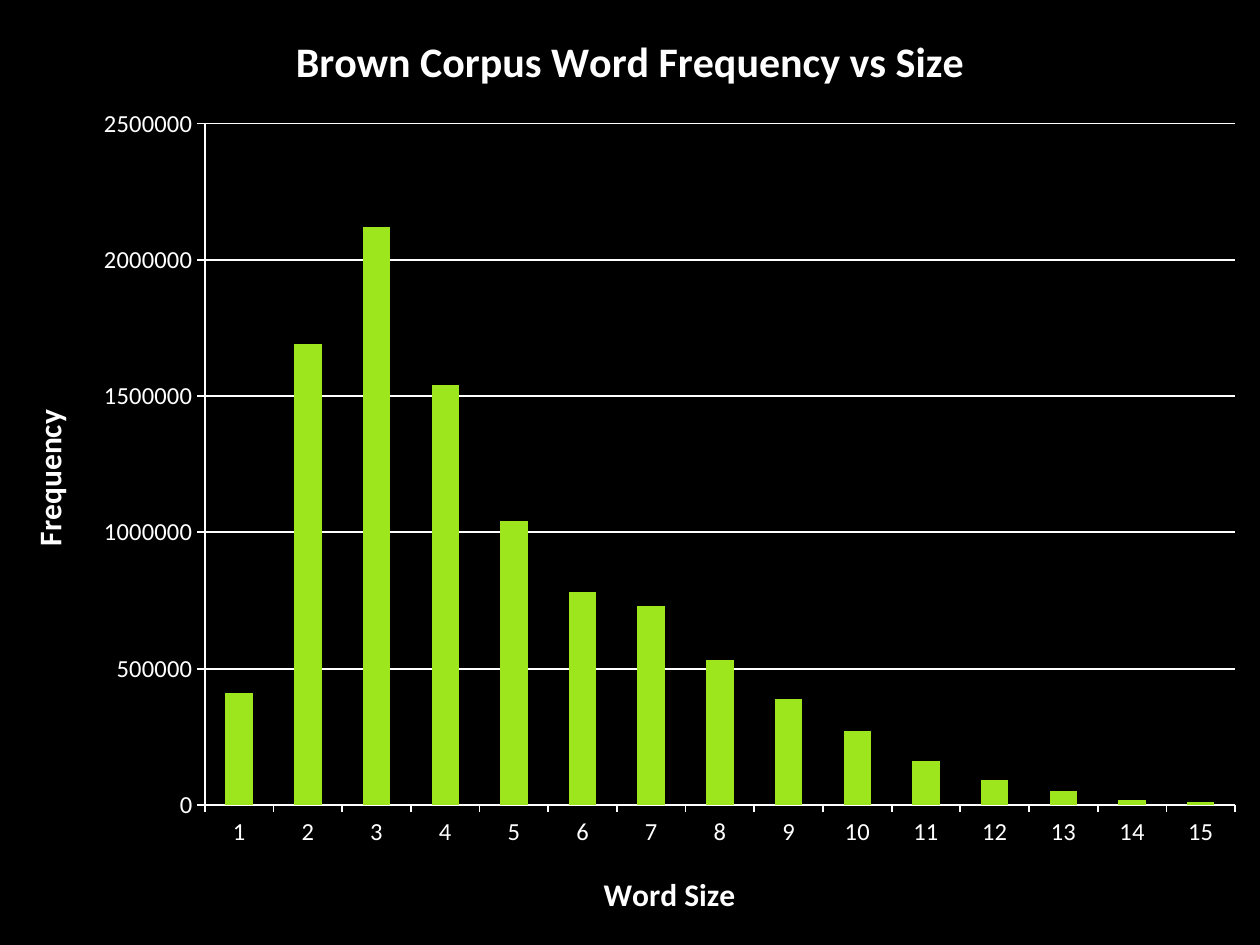
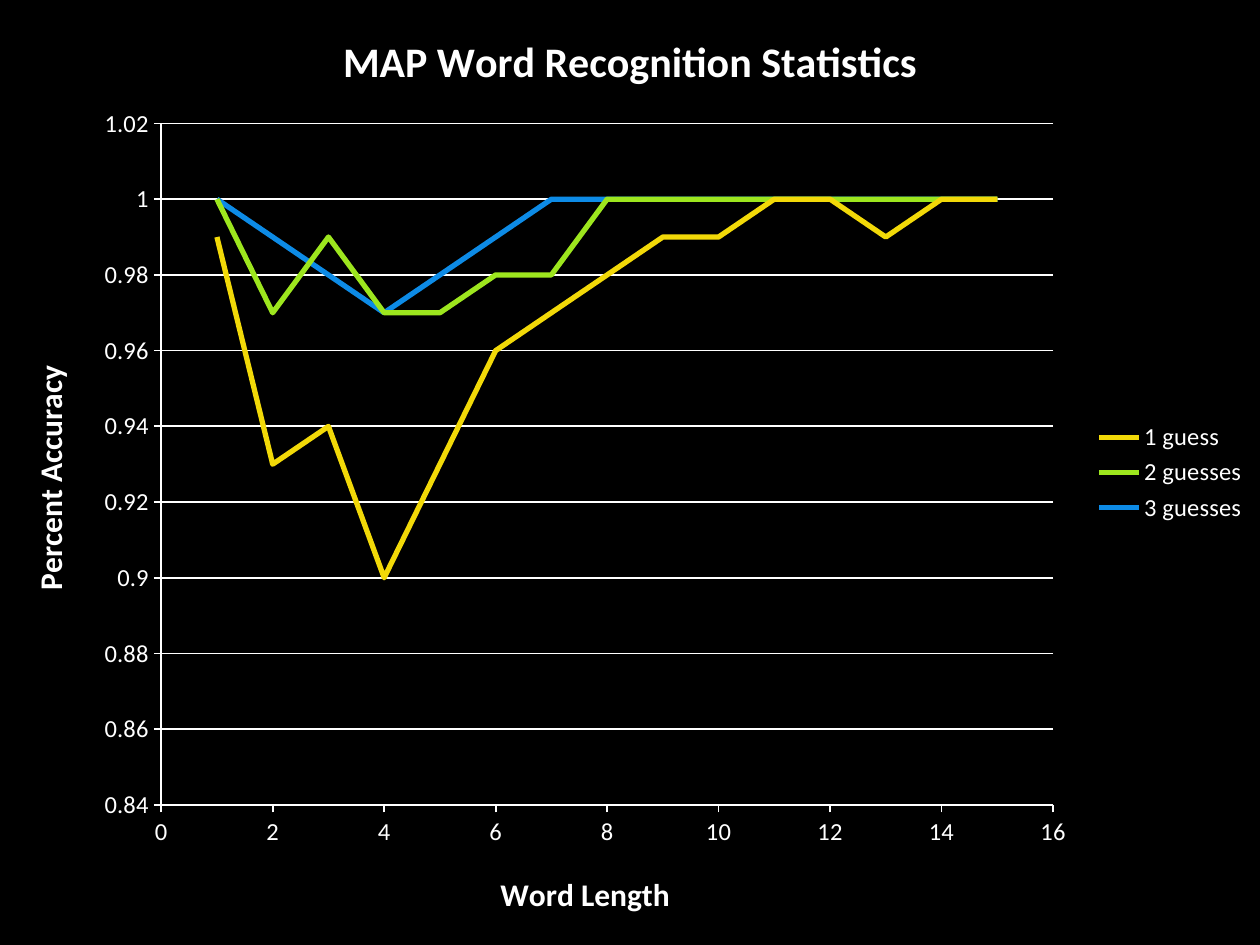
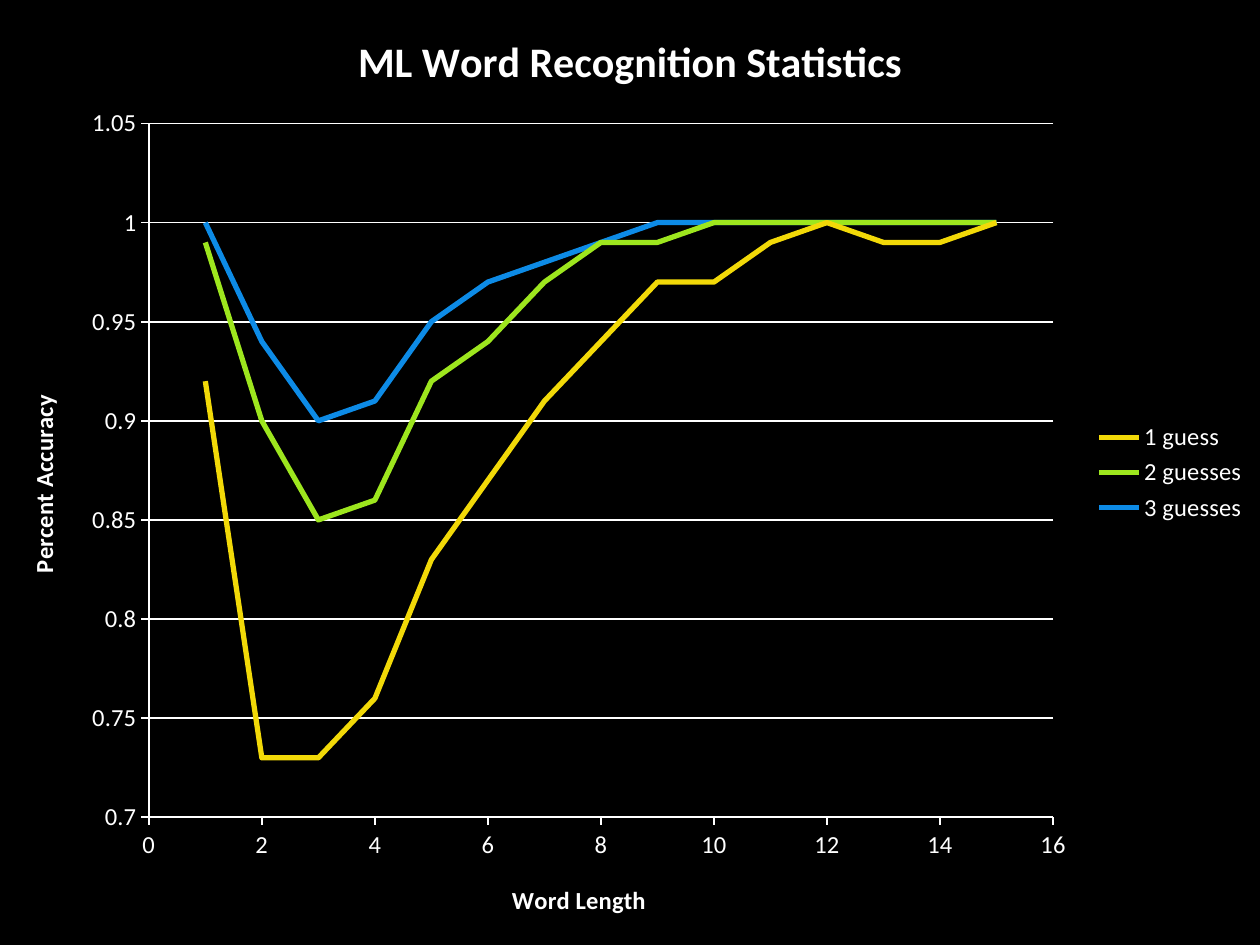
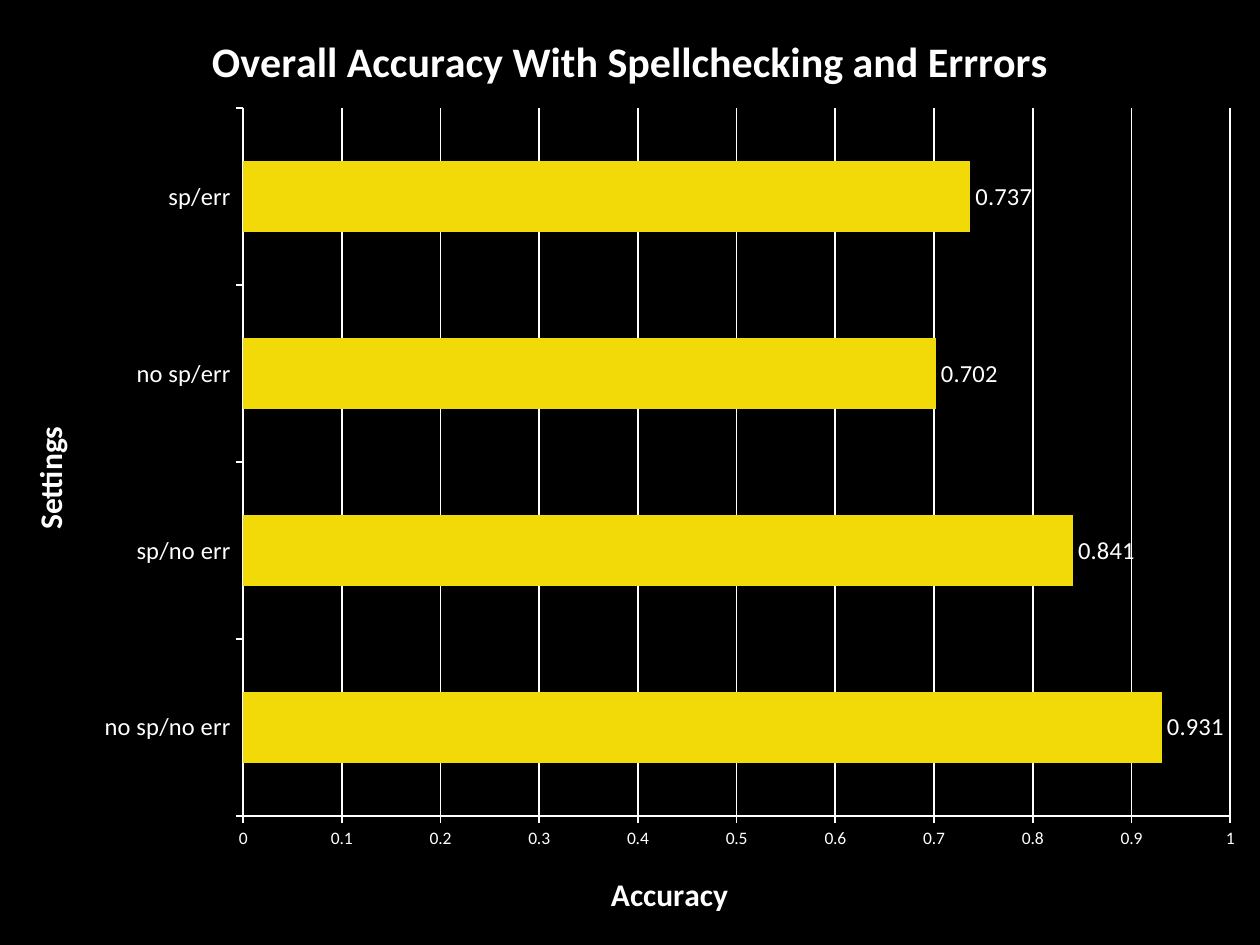
"""Builds four chart slides on word frequency and word recognition accuracy."""
from lxml import etree
from pptx import Presentation
from pptx.chart.data import CategoryChartData, XyChartData
from pptx.dml.color import RGBColor
from pptx.enum.chart import XL_CHART_TYPE as Kind
from pptx.enum.chart import XL_LABEL_POSITION as LabelSpot
from pptx.enum.chart import XL_LEGEND_POSITION as LegendSpot
from pptx.enum.chart import XL_TICK_MARK as Tick
from pptx.oxml.ns import qn
from pptx.util import Cm, Pt

BLACK = RGBColor(0x00, 0x00, 0x00)
WHITE = RGBColor(0xFF, 0xFF, 0xFF)
YELLOW = RGBColor(0xF2, 0xD9, 0x08)
GREEN = RGBColor(0x9D, 0xE6, 0x1E)
BLUE = RGBColor(0x0D, 0x8B, 0xE6)
FONT = "Calibri"
WIDTH, HEIGHT = Cm(25.4), Cm(19.05)
RULE = Pt(1)

LENGTHS = range(1, 16)
GUESS_COLORS = {"1 guess": YELLOW, "2 guesses": GREEN, "3 guesses": BLUE}
WORD_LENGTH_SCALE = {"minimum_scale": 0, "maximum_scale": 16, "major_unit": 2}


def set_font(font, size, bold=False):
    """Apply the shared white typeface at the given size."""
    for name, value in {"name": FONT, "size": Pt(size), "bold": bold}.items():
        setattr(font, name, value)
    font.color.rgb = WHITE


def add_heading(owner, text, size):
    """Give a chart or an axis a bold title."""
    owner.has_title = True
    frame = (owner.chart_title if hasattr(owner, "chart_title") else owner.axis_title).text_frame
    frame.text = text
    paragraph = frame.paragraphs[0]
    for font in (paragraph.font, paragraph.runs[0].font):
        set_font(font, size, bold=True)


frequency = CategoryChartData()
frequency.categories = [str(length) for length in LENGTHS]
frequency.add_series("Series 1", [
    410000, 1690000, 2120000, 1540000, 1040000, 780000, 730000, 530000,
    390000, 270000, 160000, 90000, 50000, 20000, 10000])

overall = CategoryChartData()
overall.categories = ["no sp/no err", "sp/no err", "no sp/err", "sp/err"]
overall.add_series("Series 1", [0.931, 0.841, 0.702, 0.737])

map_accuracy = [
    [0.99, 0.93, 0.94, 0.9, 0.93, 0.96, 0.97, 0.98, 0.99, 0.99, 1, 1, 0.99, 1, 1],
    [1, 0.97, 0.99, 0.97, 0.97, 0.98, 0.98, 1, 1, 1, 1, 1, 1, 1, 1],
    [1, 0.99, 0.98, 0.97, 0.98, 0.99, 1, 1, 1, 1, 1, 1, 1, 1, 1],
]
ml_accuracy = [
    [0.92, 0.73, 0.73, 0.76, 0.83, 0.87, 0.91, 0.94, 0.97, 0.97, 0.99, 1, 0.99, 0.99, 1],
    [0.99, 0.9, 0.85, 0.86, 0.92, 0.94, 0.97, 0.99, 0.99, 1, 1, 1, 1, 1, 1],
    [1, 0.94, 0.9, 0.91, 0.95, 0.97, 0.98, 0.99, 1, 1, 1, 1, 1, 1, 1],
]
recognition = []
for accuracy in (map_accuracy, ml_accuracy):
    guesses = XyChartData()
    for guess, values in zip(GUESS_COLORS, accuracy):
        points = guesses.add_series(guess)
        for length, value in zip(LENGTHS, values):
            points.add_data_point(length, value)
    recognition.append(guesses)

# Each plot area is left, top, right, bottom in cm; each axis is title, title size, label size, scale.
slides = [
    (Kind.COLUMN_CLUSTERED, "Brown Corpus Word Frequency vs Size", frequency, [GREEN],
     (4.13, 2.49, 24.9, 16.23),
     ("Word Size", 18, 14, {}),
     ("Frequency", 18, 14, {"minimum_scale": 0, "maximum_scale": 2500000, "major_unit": 500000})),
    (Kind.XY_SCATTER_LINES_NO_MARKERS, "MAP Word Recognition Statistics",
     recognition[0], GUESS_COLORS.values(), (3.25, 2.49, 21.23, 16.23),
     ("Word Length", 18, 14, WORD_LENGTH_SCALE),
     ("Percent Accuracy", 18, 14, {"minimum_scale": 0.84, "maximum_scale": 1.02, "major_unit": 0.02})),
    (Kind.XY_SCATTER_LINES_NO_MARKERS, "ML Word Recognition Statistics",
     recognition[1], GUESS_COLORS.values(), (3, 2.49, 21.23, 16.48),
     ("Word Length", 14, 14, WORD_LENGTH_SCALE),
     ("Percent Accuracy", 14, 14, {"minimum_scale": 0.7, "maximum_scale": 1.05, "major_unit": 0.05})),
    (Kind.BAR_CLUSTERED, "Overall Accuracy With Spellchecking and Errrors", overall, [YELLOW],
     (4.9, 2.18, 24.8, 16.45),
     ("Settings", 18, 14, {}),
     ("Accuracy", 18, 10, {"minimum_scale": 0, "maximum_scale": 1, "major_unit": 0.1})),
]

deck = Presentation()
deck.slide_width, deck.slide_height = WIDTH, HEIGHT
backdrop = deck.slide_master.background.fill
backdrop.solid()
backdrop.fore_color.rgb = BLACK
blank_layout = deck.slide_layouts[6]

for kind, heading, data, colors, (left, top, right, bottom), across, up in slides:
    slide = deck.slides.add_slide(blank_layout)
    chart = slide.shapes.add_chart(kind, 0, 0, WIDTH, HEIGHT, data).chart
    set_font(chart.font, 10)
    add_heading(chart, heading, 24)

    plot_area = chart.plots[0]._element.getparent()
    for automatic in plot_area.findall(qn("c:layout")):
        plot_area.remove(automatic)
    layout = etree.Element(qn("c:layout"))
    plot_area.insert(0, layout)
    manual = etree.SubElement(layout, qn("c:manualLayout"))
    for tag, value in {
            "layoutTarget": "inner", "xMode": "edge", "yMode": "edge",
            "x": Cm(left) / WIDTH, "y": Cm(top) / HEIGHT,
            "w": Cm(right - left) / WIDTH, "h": Cm(bottom - top) / HEIGHT}.items():
        etree.SubElement(manual, qn(f"c:{tag}")).set("val", str(value))

    for axis, (label, label_size, tick_size, scale), gridded in (
            (chart.category_axis, across, False), (chart.value_axis, up, True)):
        add_heading(axis, label, label_size)
        set_font(axis.tick_labels.font, tick_size)
        axis_format = {
            "major_tick_mark": Tick.OUTSIDE,
            "minor_tick_mark": Tick.NONE,
            "has_major_gridlines": gridded,
            **scale,
        }
        for name, value in axis_format.items():
            setattr(axis, name, value)
        axis.format.line.color.rgb = WHITE
        axis.format.line.width = RULE
    gridline = chart.value_axis.major_gridlines.format.line
    gridline.color.rgb = WHITE
    gridline.width = RULE

    plot = chart.plots[0]
    plot.vary_by_categories = False
    is_scatter = kind == Kind.XY_SCATTER_LINES_NO_MARKERS
    chart.has_legend = is_scatter
    if is_scatter:
        chart.legend.position = LegendSpot.RIGHT
        chart.legend.include_in_layout = False
        set_font(chart.legend.font, 14)
    else:
        plot.gap_width = 150

    for series, color in zip(plot.series, colors):
        if is_scatter:
            series.smooth = False
            series.format.line.color.rgb = color
            series.format.line.width = Pt(3)
        else:
            series.format.fill.solid()
            series.format.fill.fore_color.rgb = color

    if kind == Kind.BAR_CLUSTERED:
        labels = plot.series[0].data_labels
        labels.show_value = True
        labels.position = LabelSpot.OUTSIDE_END
        set_font(labels.font, 14)

deck.save("out.pptx")
